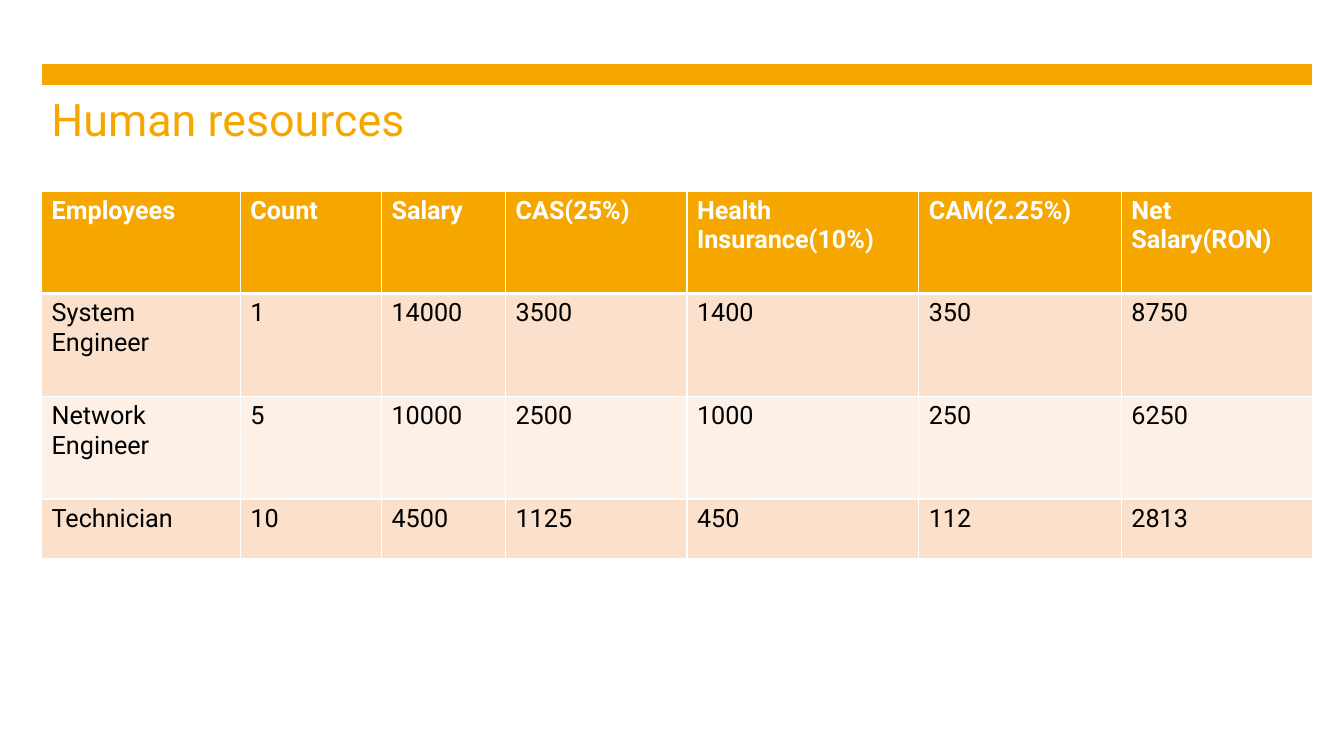
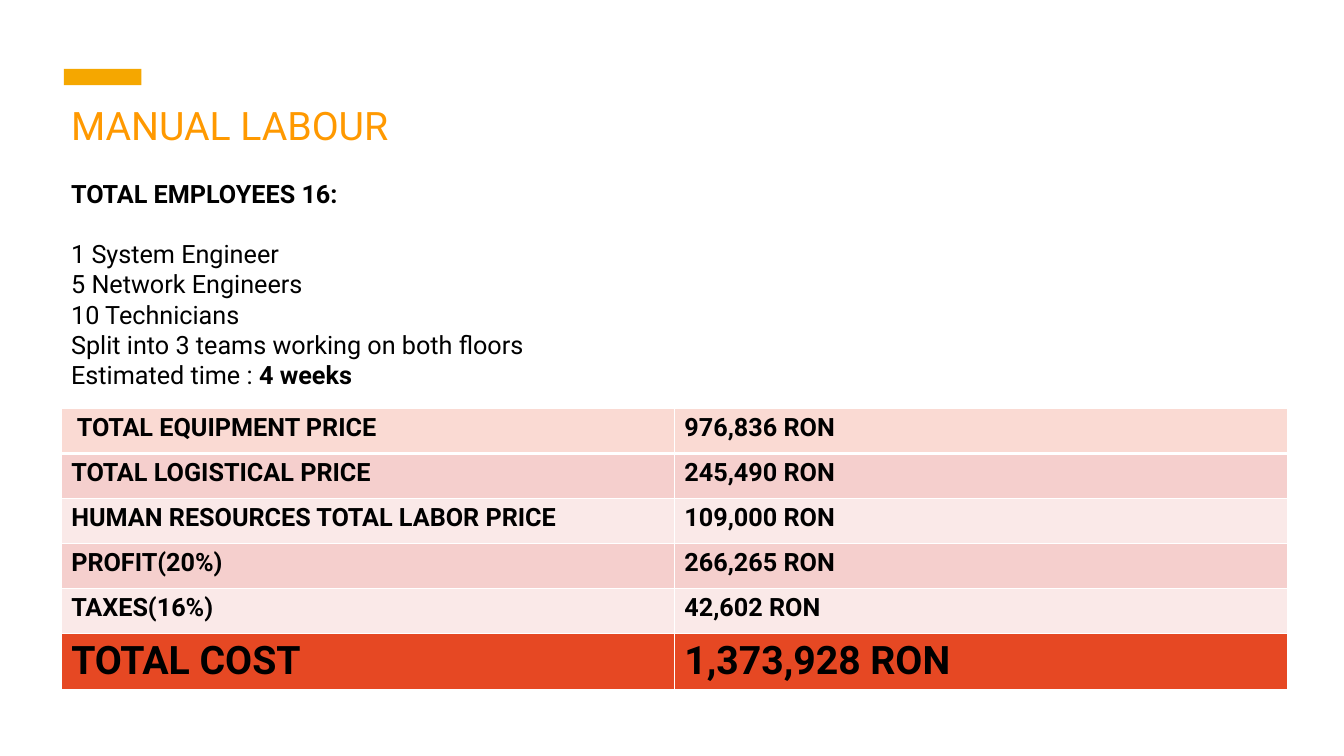
import pptx
import pptx.dml.color
import pptx.enum.shapes
import pptx.enum.text
import pptx.oxml
import pptx.oxml.ns
import pptx.util

Pt = pptx.util.Pt

COLORS = {
    "amber": "F5A700", "orange": "FF9900", "white": "FFFFFF", "black": "000000",
    "peach": "FBE1CC", "cream": "FDF1E7",
    "salmon": "FADAD3", "rose": "F5CFCD", "blush": "FAE9E8", "red": "E64823",
}


def rgb(name):
    return pptx.dml.color.RGBColor.from_string(COLORS[name])


class Deck:
    """Shared style and the slide being filled."""
    font = "Roboto"
    text_size = 18

    def __init__(self):
        self.prs = pptx.Presentation()
        self.prs.slide_width, self.prs.slide_height = Pt(960), Pt(540)
        self.s = None

    def add_slide(self, layout):
        self.s = self.prs.slides.add_slide(self.prs.slide_layouts.get_by_name(layout))

    def run(self, p, text, size=text_size, color="black", bold=False):
        r = p.add_run()
        r.text = text
        r.font.name, r.font.size, r.font.bold = self.font, Pt(size), bold
        r.font.color.rgb = rgb(color)

    def place(self, sp, left, top, width, height):
        sp.left, sp.top, sp.width, sp.height = Pt(left), Pt(top), Pt(width), Pt(height)
        tf = sp.text_frame
        tf.word_wrap = True
        tf.auto_size = pptx.enum.text.MSO_AUTO_SIZE.NONE
        tf.vertical_anchor = pptx.enum.text.MSO_ANCHOR.TOP
        return tf

    def bar(self, left, top, width, height, outline=None):
        sp = self.s.shapes.add_shape(pptx.enum.shapes.MSO_SHAPE.RECTANGLE,
                                     Pt(left), Pt(top), Pt(width), Pt(height))
        sp.shadow.inherit = False
        sp.fill.solid()
        sp.fill.fore_color.rgb = rgb("amber")
        if outline:
            sp.line.color.rgb = rgb(outline)
            sp.line.width = Pt(1)
        else:
            sp.line.fill.background()
        return sp

    def master_marker(self):
        """Accent block above the title, kept on the slide master."""
        sp = self.bar(45.7, 49.3, 55.4, 11.5)
        self.prs.slide_master.shapes._spTree.append(sp._element)

    def title(self, text, left, top, width, size, color):
        tf = self.place(self.s.shapes.title, left, top, width, size * 1.45)
        p = tf.paragraphs[0]
        p.alignment = pptx.enum.text.PP_ALIGN.LEFT
        self.run(p, text, size, color)

    def body(self, lines, left, top, width, height):
        """Each line is (space after, [(text, bold), ...])."""
        tf = self.place(self.s.placeholders[1], left, top, width, height)
        for i, (gap, runs) in enumerate(lines):
            p = tf.add_paragraph() if i else tf.paragraphs[0]
            p.space_before, p.space_after, p.line_spacing = Pt(0), Pt(gap), 1.0
            pPr = p._p.get_or_add_pPr()
            pPr.set("marL", "0")
            pPr.set("indent", "0")
            pPr.append(pptx.oxml.parse_xml(
                "<a:buNone %s/>" % pptx.oxml.ns.nsdecls("a")))
            for text, bold in runs:
                self.run(p, text, bold=bold)

    def borders(self, cell, top, bottom):
        """White cell edges; one point at the sides."""
        tcPr = cell._tc.get_or_add_tcPr()
        edges = {"lnL": 1, "lnR": 1, "lnT": top, "lnB": bottom}
        for i, (tag, width) in enumerate(edges.items()):
            tcPr.insert(i, pptx.oxml.parse_xml(
                '<a:%s %s w="%d"><a:solidFill><a:srgbClr val="%s"/></a:solidFill></a:%s>'
                % (tag, pptx.oxml.ns.nsdecls("a"), Pt(width), COLORS["white"], tag)))

    def table(self, left, top, widths, heights, rows):
        """Each row is (fill, font style, texts)."""
        tbl = self.s.shapes.add_table(len(rows), len(widths), Pt(left), Pt(top),
                                      Pt(sum(widths)), Pt(sum(heights))).table
        for col, width in zip(tbl.columns, widths):
            col.width = Pt(width)
        for i, (fill, style, texts) in enumerate(rows):
            tbl.rows[i].height = Pt(heights[i])
            for j, text in enumerate(texts):
                cell = tbl.cell(i, j)
                cell.fill.solid()
                cell.fill.fore_color.rgb = rgb(fill)
                self.borders(cell, 3 if i == 1 else 1, 3 if i == 0 else 1)
                self.run(cell.text_frame.paragraphs[0], text, **style)


def human_resources(deck):
    deck.add_slide("Title Only")
    deck.master_marker()
    deck.bar(29.5, 45.4, 908, 15.8, outline="white")
    deck.title("Human resources", 29.5, 61.9, 323, 32, "amber")
    head, plain = {"color": "white", "bold": True}, {}
    deck.table(29.7, 136.4, [142, 100.8, 88.6, 129.6, 165.6, 144.7, 136.6],
               [73.2, 73.4, 73.4, 42.5], [
        ("amber", head, ["Employees", "Count", "Salary", "CAS(25%)",
                         "Health Insurance(10%)", "CAM(2.25%)", "Net Salary(RON)"]),
        ("peach", plain, ["System Engineer", "1", "14000", "3500", "1400", "350", "8750"]),
        ("cream", plain, ["Network Engineer", "5", "10000", "2500", "1000", "250", "6250"]),
        ("peach", plain, ["Technician", "10", "4500", "1125", "450", "112", "2813"]),
    ])


def manual_labour(deck):
    deck.add_slide("Title and Content")
    deck.title("MANUAL LABOUR", 43.6, 68.9, 627, 28, "orange")
    deck.body([
        (21.6, [("TOTAL EMPLOYEES 16:", True)]),
        (0, [("1 System Engineer", False)]),
        (0, [("5 Network Engineers", False)]),
        (0, [("10 Technicians", False)]),
        (0, [("Split into 3 teams working on both floors", False)]),
        (0, [("Estimated time : ", False), ("4 weeks", True)]),
    ], 43.6, 123.5, 627, 162)
    bold, total = {"bold": True}, {"bold": True, "size": 28}
    deck.table(43.7, 291.8, [438] * 2, [32.1] * 5 + [40.4], [
        ("salmon", bold, [" TOTAL EQUIPMENT PRICE", "976,836 RON"]),
        ("rose", bold, ["TOTAL LOGISTICAL PRICE", "245,490 RON"]),
        ("blush", bold, ["HUMAN RESOURCES TOTAL LABOR PRICE", "109,000 RON"]),
        ("rose", bold, ["PROFIT(20%)", "266,265 RON"]),
        ("blush", bold, ["TAXES(16%)", "42,602 RON"]),
        ("red", total, ["TOTAL COST", "1,373,928 RON"]),
    ])


def main():
    deck = Deck()
    human_resources(deck)
    manual_labour(deck)
    deck.prs.save("out.pptx")


if __name__ == "__main__":
    main()
